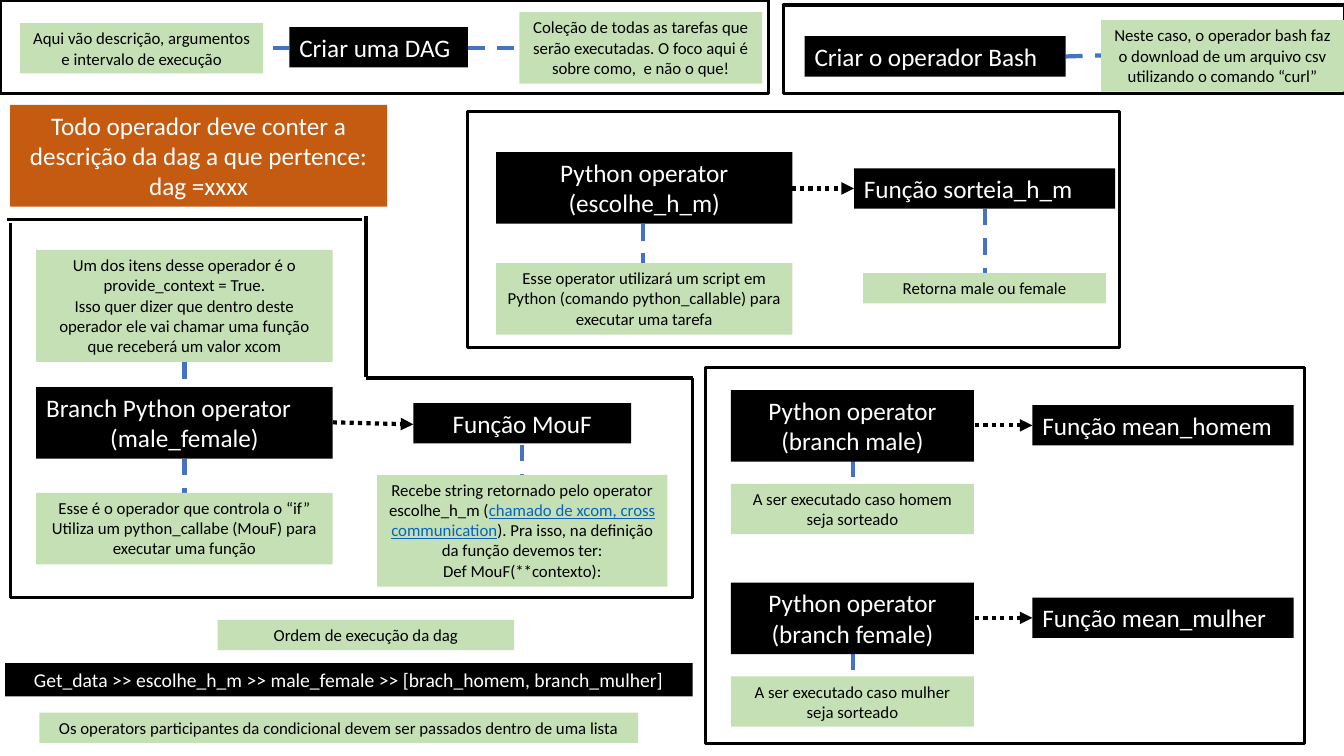
from lxml import etree
from pptx import Presentation
from pptx.dml.color import RGBColor
from pptx.enum.dml import MSO_LINE
from pptx.enum.shapes import MSO_CONNECTOR, MSO_SHAPE
from pptx.enum.text import MSO_AUTO_SIZE, PP_ALIGN
from pptx.oxml.ns import qn
from pptx.util import Inches, Pt

BLACK = RGBColor(0x00, 0x00, 0x00)
WHITE = RGBColor(0xFF, 0xFF, 0xFF)
GREEN = RGBColor(0xC5, 0xE0, 0xB4)
ORANGE = RGBColor(0xC5, 0x5A, 0x11)
BLUE = RGBColor(0x44, 0x72, 0xC4)
LINK = RGBColor(0x05, 0x63, 0xC1)
LEFT, CENTER = PP_ALIGN.LEFT, PP_ALIGN.CENTER
DASH, DOT = MSO_LINE.DASH, MSO_LINE.ROUND_DOT
STRAIGHT = MSO_CONNECTOR.STRAIGHT
RECTANGLE = MSO_SHAPE.RECTANGLE
FIT_TEXT = MSO_AUTO_SIZE.SHAPE_TO_FIT_TEXT

prs = Presentation()
prs.slide_width = Inches(13.33)
prs.slide_height = Inches(7.5)
slide = prs.slides.add_slide(prs.slide_layouts[6])


def add_label(left, top, width, height, fill, size, lines, align=CENTER):
    label = slide.shapes.add_textbox(Inches(left), Inches(top), Inches(width), Inches(height))
    label.fill.solid()
    label.fill.fore_color.rgb = fill
    frame = label.text_frame
    frame.word_wrap = True
    frame.auto_size = FIT_TEXT
    for number, line in enumerate(lines):
        paragraph = frame.paragraphs[0] if number == 0 else frame.add_paragraph()
        paragraph.alignment = align
        for position, words in enumerate(line if isinstance(line, tuple) else (line,)):
            run = paragraph.add_run()
            run.text = words
            run.font.name = "Calibri"
            run.font.size = Pt(size)
            run.font.color.rgb = BLACK if fill == GREEN else WHITE
            if position == 1:
                run.font.color.rgb = LINK
                run.font.underline = True
    return label


def add_link(x1, y1, x2, y2, color, width, dash=None):
    link = slide.shapes.add_connector(STRAIGHT, Inches(x1), Inches(y1), Inches(x2), Inches(y2))
    link.line.color.rgb = color
    link.line.width = Pt(width)
    if dash:
        link.line.dash_style = dash
    if dash == DOT:
        etree.SubElement(link.line._get_or_add_ln(), qn("a:tailEnd"), type="triangle")
    etree.SubElement(link._element.spPr, qn("a:effectLst"))


frames = [
    (0, 0, 7.62, 0.93),
    (7.77, 0.05, 5.57, 0.88),
    (4.64, 1.11, 6.46, 2.34),
    (7, 3.65, 5.94, 3.73),
]
for left, top, width, height in frames:
    frame = slide.shapes.add_shape(RECTANGLE, Inches(left), Inches(top), Inches(width), Inches(height))
    frame.shadow.inherit = False
    frame.fill.background()
    frame.line.color.rgb = BLACK
    frame.line.width = Pt(2.25)

branch_outline = [
    (0.1, 2.21, 0.1, 5.93),
    (0.1, 5.93, 6.87, 5.93),
    (6.87, 3.75, 6.87, 5.93),
    (6.87, 3.75, 3.63, 3.75),
    (3.63, 2.14, 3.63, 3.74),
    (3.59, 2.18, 0.07, 2.18),
]
for ends in branch_outline:
    add_link(*ends, BLACK, 2.25)

note_links = [
    (2.87, 0.48, 2.61, 0.48),
    (4.64, 0.48, 5.15, 0.48),
    (10.57, 0.56, 10.92, 0.55),
    (6.38, 2.22, 6.38, 2.61),
    (9.77, 2.07, 9.77, 2.71),
    (5.18, 4.41, 5.18, 4.71),
    (1.83, 4.55, 1.83, 4.89),
    (1.83, 3.59, 1.83, 3.84),
]
for ends in note_links:
    add_link(*ends, BLUE, 3, DASH)

for ends in [(7.85, 1.87, 8.47, 1.87), (3.3, 4.19, 4.1, 4.21)]:
    add_link(*ends, BLACK, 3, DOT)

steps = [
    (2.87, 0.27, 1.77, 0.4, ["Criar uma DAG"], LEFT),
    (7.98, 0.36, 2.59, 0.4, ["Criar o operador Bash"], LEFT),
    (8.47, 1.67, 2.59, 0.4, ["Função sorteia_h_m"], LEFT),
    (4.92, 1.51, 2.94, 0.71, ["Python operator", "(escolhe_h_m)"], CENTER),
    (4.1, 4, 2.16, 0.4, ["Função MouF"], CENTER),
]
for left, top, width, height, lines, align in steps:
    add_label(left, top, width, height, BLACK, 18, lines, align)

branch_step = add_label(0.36, 3.84, 2.94, 0.71, BLACK, 18, ["Branch Python operator", "(male_female)"])
branch_step.text_frame.paragraphs[0].alignment = LEFT

notes = [
    (0.2, 0.23, 2.41, 0.5, ["Aqui vão descrição, argumentos e intervalo de execução"]),
    (5.15, 0.12, 2.41, 0.71,
     ["Coleção de todas as tarefas que serão executadas. O foco aqui é sobre como,  e não o que!"]),
    (10.92, 0.2, 2.41, 0.71,
     ["Neste caso, o operador bash faz o download de um arquivo csv utilizando o comando “curl”"]),
    (8.56, 2.71, 2.41, 0.3, ["Retorna male ou female"]),
    (4.92, 2.61, 2.94, 0.71,
     ["Esse operator utilizará um script em Python (comando python_callable) para executar uma tarefa"]),
    (0.36, 2.48, 2.94, 1.11,
     ["Um dos itens desse operador é o provide_context = True.",
      "Isso quer dizer que dentro deste operador ele vai chamar uma função que receberá um valor xcom"]),
    (0.36, 4.89, 2.94, 0.71,
     ["Esse é o operador que controla o “if”",
      "Utiliza um python_callabe (MouF) para executar uma função"]),
    (3.74, 4.71, 2.88, 1.11,
     [("Recebe string retornado pelo operator escolhe_h_m (",
       "chamado de xcom, cross communication",
       "). Pra isso, na definição da função devemos ter:"),
      "Def MouF(**contexto):"]),
    (2.16, 6.15, 2.94, 0.3, ["Ordem de execução da dag"]),
    (0.39, 7.07, 5.94, 0.3,
     ["Os operators participantes da condicional devem ser passados dentro de uma lista"]),
]
for left, top, width, height, lines in notes:
    add_label(left, top, width, height, GREEN, 12, lines)

for row, (branch, person) in enumerate([("male", "homem"), ("female", "mulher")]):
    top = 3.87 + row * 1.91
    add_link(9.67, top + 0.35, 10.24, top + 0.35, BLACK, 3, DOT)
    add_link(8.46, top + 0.7, 8.46, top + 0.93, BLUE, 3, DASH)
    add_label(7.25, top, 2.41, 0.71, BLACK, 18, ["Python operator", f"(branch {branch})"])
    add_label(10.24, top + 0.15, 2.59, 0.4, BLACK, 18, [f"Função mean_{person}"], LEFT)
    add_label(7.25, top + 0.93, 2.41, 0.5, GREEN, 12, [f"A ser executado caso {person} seja sorteado"])

add_label(0.1, 1.04, 3.74, 1.01, ORANGE, 18,
          ["Todo operador deve conter a descrição da dag a que pertence:", "dag =xxxx"])
add_label(0.05, 6.58, 6.82, 0.33, BLACK, 14,
          ["Get_data >> escolhe_h_m >> male_female >> [brach_homem, branch_mulher]"])

prs.save("out.pptx")
